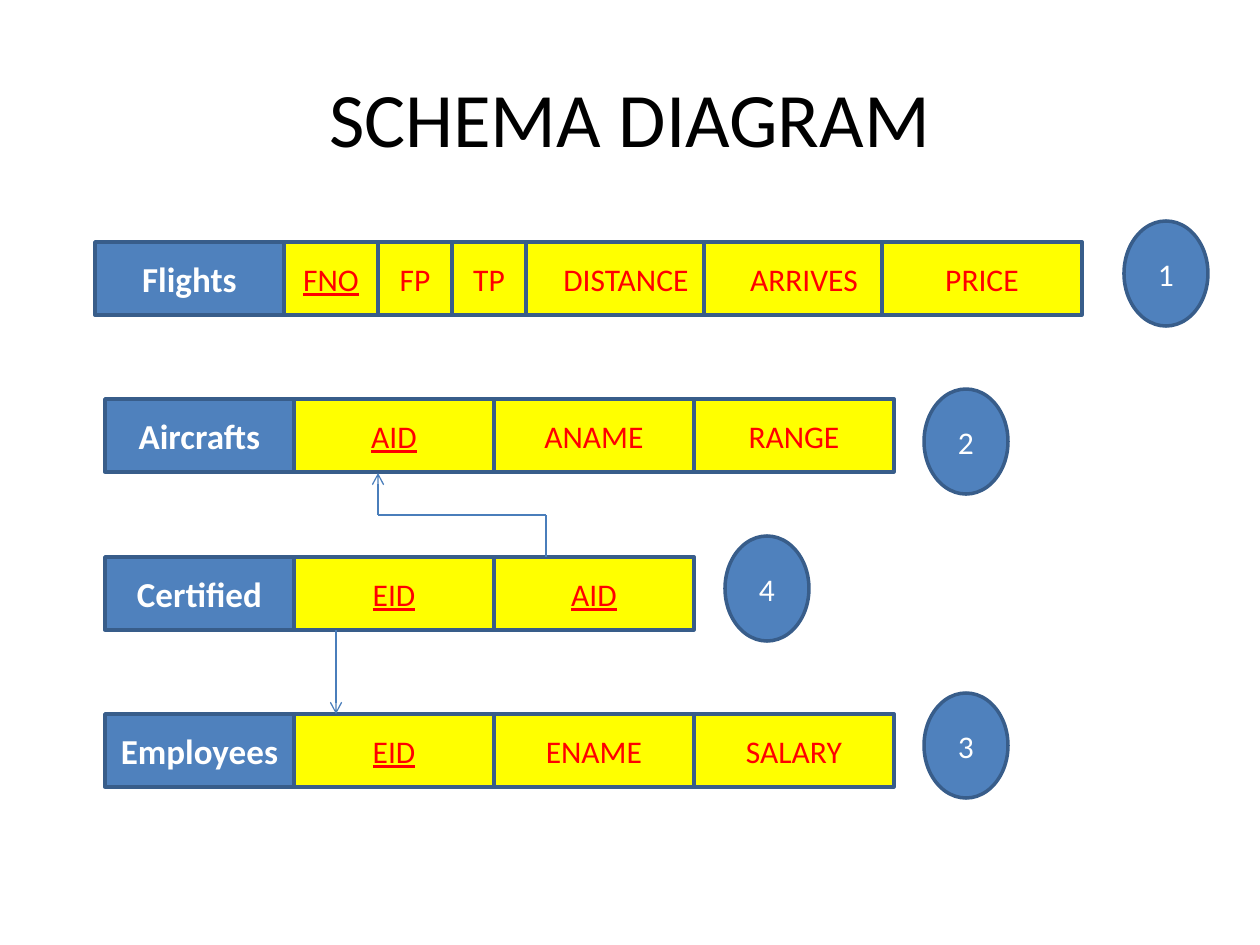
import pptx
import pptx.util
import pptx.dml.color
import pptx.enum.shapes
import pptx.enum.text
import pptx.oxml
import pptx.oxml.ns

PX = 914400 / 126
FONT = "Calibri"
COLORS = {
    "title": "000000",
    "blue": "4F81BD",
    "border": "385D8A",
    "yellow": "FFFF00",
    "red": "FF0000",
    "white": "FFFFFF",
    "arrow": "4A7EBB",
}
SHAPE = pptx.enum.shapes.MSO_SHAPE
NAME_W, ROW_H, FIELD_W = 189, 73, 200
BADGE_W, BADGE_H = 84, 105

# name, left, top, fields as (text, is key, width, distance to next field)
TABLES = [
    ("Flights", 95, 242, [
        ("FNO", True, 94, 94),
        ("FP", False, 74, 74),
        ("TP", False, 74, 74),
        ("DISTANCE", False, FIELD_W, 178),
        ("ARRIVES", False, FIELD_W, 178),
        ("PRICE", False, FIELD_W, 178),
    ]),
    ("Aircrafts", 105, 399, [
        ("AID", True, FIELD_W, FIELD_W),
        ("ANAME", False, FIELD_W, FIELD_W),
        ("RANGE", False, FIELD_W, FIELD_W),
    ]),
    ("Certified", 105, 557, [
        ("EID", True, FIELD_W, FIELD_W),
        ("AID", True, FIELD_W, FIELD_W),
    ]),
    ("Employees", 105, 714, [
        ("EID", True, FIELD_W, FIELD_W),
        ("ENAME", False, FIELD_W, FIELD_W),
        ("SALARY", False, FIELD_W, FIELD_W),
    ]),
]
BADGES = [("1", 1124, 221), ("2", 924, 389), ("3", 924, 693), ("4", 725, 536)]
REFERENCES = [
    [(336, 630), (336, 714)],
    [(546, 557), (546, 515), (378, 515), (378, 473)],
]


def px(n):
    return pptx.util.Emu(round(n * PX))


def rgb(name):
    return pptx.dml.color.RGBColor.from_string(COLORS[name])


def format_text(tf, text, size, color, bold=False, underline=False):
    tf.text = text
    tf.word_wrap = True
    tf.vertical_anchor = pptx.enum.text.MSO_ANCHOR.MIDDLE
    p = tf.paragraphs[0]
    p.alignment = pptx.enum.text.PP_ALIGN.CENTER
    p.font.name = FONT
    p.font.size = pptx.util.Pt(size)
    p.font.bold = bold
    p.font.color.rgb = rgb(color)
    if underline:
        # Underline is drawn reliably only when set on the run.
        p.runs[0].font.underline = True


def add_title(s, text):
    sp = s.shapes.title
    sp.left, sp.top, sp.width, sp.height = px(63), px(38), px(1134), px(157)
    format_text(sp.text_frame, text, 44, "title")


def add_box(s, kind, box, fill, text, size, color, **style):
    sp = s.shapes.add_shape(kind, *map(px, box))
    sp.shadow.inherit = False
    sp.fill.solid()
    sp.fill.fore_color.rgb = rgb(fill)
    sp.line.color.rgb = rgb("border")
    sp.line.width = pptx.util.Pt(2)
    format_text(sp.text_frame, text, size, color, **style)


def add_schema_row(s, name, left, top, fields):
    add_box(s, SHAPE.RECTANGLE, (left, top, NAME_W, ROW_H), "blue",
            name, 20, "white", bold=True)
    x = left + NAME_W
    for text, is_key, width, pitch in fields:
        add_box(s, SHAPE.RECTANGLE, (x, top, width, ROW_H), "yellow",
                text, 18, "red", underline=is_key)
        x += pitch


def add_reference(s, points):
    """Join the points with straight lines and put an arrowhead on the last."""
    for start, end in zip(points, points[1:]):
        line = s.shapes.add_connector(
            pptx.enum.shapes.MSO_CONNECTOR.STRAIGHT, *map(px, start + end))
        line.line.color.rgb = rgb("arrow")
        line.line.width = pptx.util.Pt(0.75)
        sppr = line._element.spPr
        sppr.append(pptx.oxml.parse_xml(
            "<a:effectLst %s/>" % pptx.oxml.ns.nsdecls("a")))
    line.line._get_or_add_ln().append(pptx.oxml.parse_xml(
        '<a:tailEnd %s type="arrow"/>' % pptx.oxml.ns.nsdecls("a")))


def main():
    prs = pptx.Presentation()
    prs.slide_width, prs.slide_height = px(1260), px(945)
    s = prs.slides.add_slide(prs.slide_layouts[5])
    add_title(s, "SCHEMA DIAGRAM")
    for table in TABLES:
        add_schema_row(s, *table)
    for points in REFERENCES:
        add_reference(s, points)
    for number, left, top in BADGES:
        add_box(s, SHAPE.OVAL, (left, top, BADGE_W, BADGE_H), "blue",
                number, 18, "white")
    prs.save("out.pptx")


if __name__ == "__main__":
    main()
